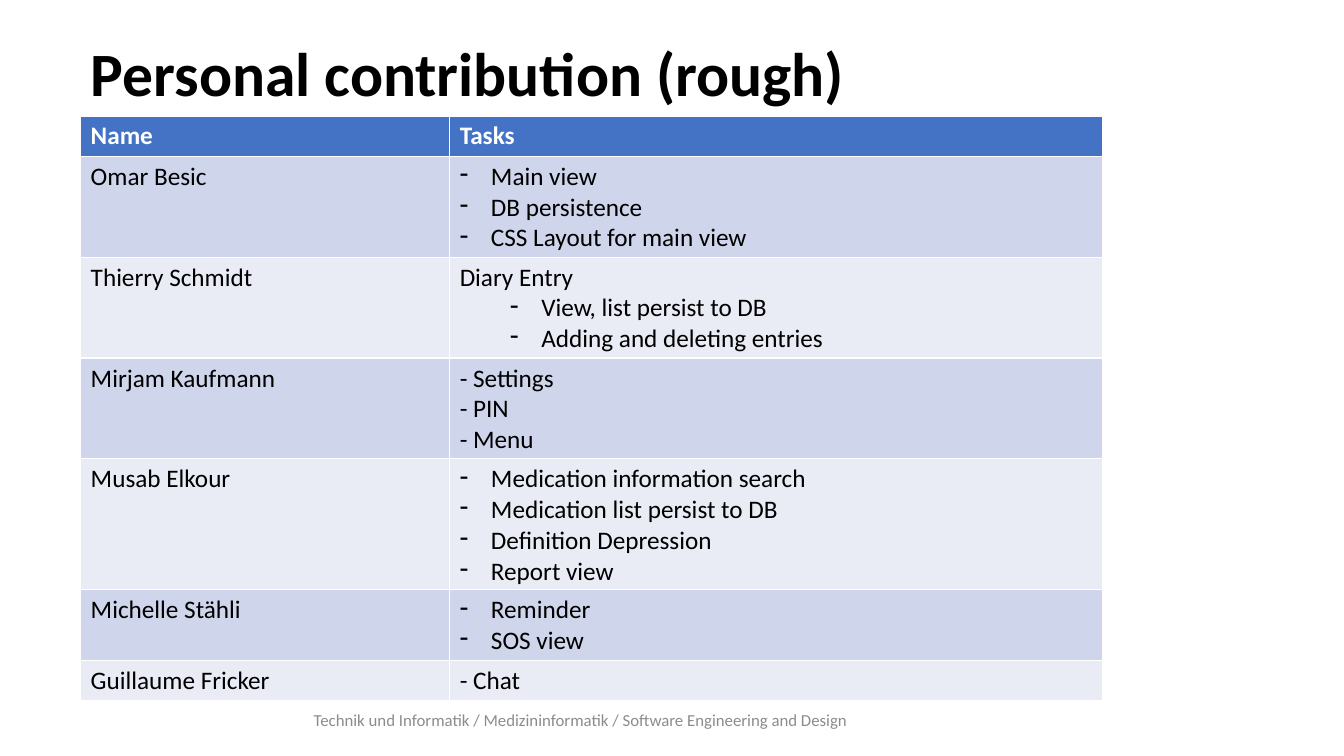
"""Build the slide listing each team member's contribution."""
from lxml import etree
from pptx import Presentation
from pptx.dml.color import RGBColor
from pptx.enum.text import MSO_ANCHOR, PP_ALIGN
from pptx.oxml.ns import qn
from pptx.util import Inches, Pt

MIDDLE, LEFT, CENTER = MSO_ANCHOR.MIDDLE, PP_ALIGN.LEFT, PP_ALIGN.CENTER
BLACK = RGBColor(0x00, 0x00, 0x00)
WHITE = RGBColor(0xFF, 0xFF, 0xFF)
GRAY = RGBColor(0x8C, 0x8C, 0x8C)
BLUE = RGBColor(0x44, 0x72, 0xC4)
BANDS = RGBColor(0xCF, 0xD5, 0xEA), RGBColor(0xE9, 0xEB, 0xF5)

TITLE = {"name": "Calibri", "size": Pt(44), "bold": True}
HEADER = {"name": "Calibri", "size": Pt(18), "bold": True}
BODY = {"name": "Calibri", "size": Pt(18), "bold": False}
FOOTER = {"name": "Calibri", "size": Pt(12), "bold": False}

WIDTH, HEIGHT = 13.33, 7.5
MARGIN = 0.8
COLUMNS = 3.66, 6.48
LINE, PADDING = 0.3, 0.1
HANGING, LEVEL = 0.31, 0.5

PLAIN, BULLET, SUBBULLET = None, 0, 1
CONTRIBUTIONS = [
    ("Omar Besic", [(BULLET, "Main view"), (BULLET, "DB persistence"),
                    (BULLET, "CSS Layout for main view")]),
    ("Thierry Schmidt", [(PLAIN, "Diary Entry"),
                         (SUBBULLET, "View, list persist to DB"),
                         (SUBBULLET, "Adding and deleting entries")]),
    ("Mirjam Kaufmann", [(PLAIN, "- Settings"), (PLAIN, "- PIN"),
                         (PLAIN, "- Menu")]),
    ("Musab Elkour", [(BULLET, "Medication information search"),
                      (BULLET, "Medication list persist to DB"),
                      (BULLET, "Definition Depression"),
                      (BULLET, "Report view")]),
    ("Michelle Stähli", [(BULLET, "Reminder"), (BULLET, "SOS view")]),
    ("Guillaume Fricker", [(PLAIN, "- Chat")]),
]


def write_span(para, text, style, color):
    """Add a formatted run of text to a paragraph."""
    span = para.add_run()
    span.text = text
    for name, value in style.items():
        setattr(span.font, name, value)
    span.font.color.rgb = color


def add_bullet(para, level):
    """Give a paragraph a hanging dash at the given level."""
    para.level = level
    properties = para._p.get_or_add_pPr()
    properties.set("marL", str(Inches(HANGING + LEVEL * level)))
    properties.set("indent", str(Inches(-HANGING)))
    etree.SubElement(properties, qn("a:buFontTx"))
    etree.SubElement(properties, qn("a:buChar")).set("char", "-")


def add_text(page, place, text, style, color, alignment):
    """Add a one-line text box, centred vertically."""
    box = page.shapes.add_textbox(*map(Inches, place))
    frame = box.text_frame
    frame.word_wrap = True
    frame.vertical_anchor = MIDDLE
    para = frame.paragraphs[0]
    para.alignment = alignment
    para.line_spacing = 0.9
    write_span(para, text, style, color)


def fill_cell(cell, lines, fill, style, color):
    """Fill a table cell with a colour and its lines."""
    cell.fill.solid()
    cell.fill.fore_color.rgb = fill
    frame = cell.text_frame
    for index, (level, text) in enumerate(lines):
        para = frame.add_paragraph() if index else frame.paragraphs[0]
        if level is not PLAIN:
            add_bullet(para, level)
        write_span(para, text, style, color)


def add_contributions(page, top):
    """Add the table, with row heights that follow the number of tasks."""
    heights = [LINE * size + PADDING
               for size in [1] + [len(tasks) for _, tasks in CONTRIBUTIONS]]
    place = MARGIN, top, sum(COLUMNS), sum(heights)
    table = page.shapes.add_table(
        len(heights), len(COLUMNS), *map(Inches, place)).table
    for column, width in zip(table.columns, COLUMNS):
        column.width = Inches(width)
    for row, height in zip(table.rows, heights):
        row.height = Inches(height)
    for column, heading in enumerate(("Name", "Tasks")):
        fill_cell(table.cell(0, column), [(PLAIN, heading)], BLUE, HEADER, WHITE)
    for row, (person, tasks) in enumerate(CONTRIBUTIONS, start=1):
        band = BANDS[(row - 1) % 2]
        for column, lines in enumerate(([(PLAIN, person)], tasks)):
            fill_cell(table.cell(row, column), lines, band, BODY, BLACK)


def main():
    """Build and save the deck."""
    deck = Presentation()
    deck.slide_width, deck.slide_height = Inches(WIDTH), Inches(HEIGHT)
    page = deck.slides.add_slide(deck.slide_layouts[6])
    add_text(page, (MARGIN, 0.03, 11.5, 1.45),
             "Personal contribution (rough)", TITLE, BLACK, LEFT)
    add_contributions(page, 1.15)
    add_text(page, (2.61, 6.95, 6.3, 0.4),
             "Technik und Informatik / Medizininformatik / "
             "Software Engineering and Design", FOOTER, GRAY, CENTER)
    deck.save("out.pptx")


if __name__ == "__main__":
    main()
